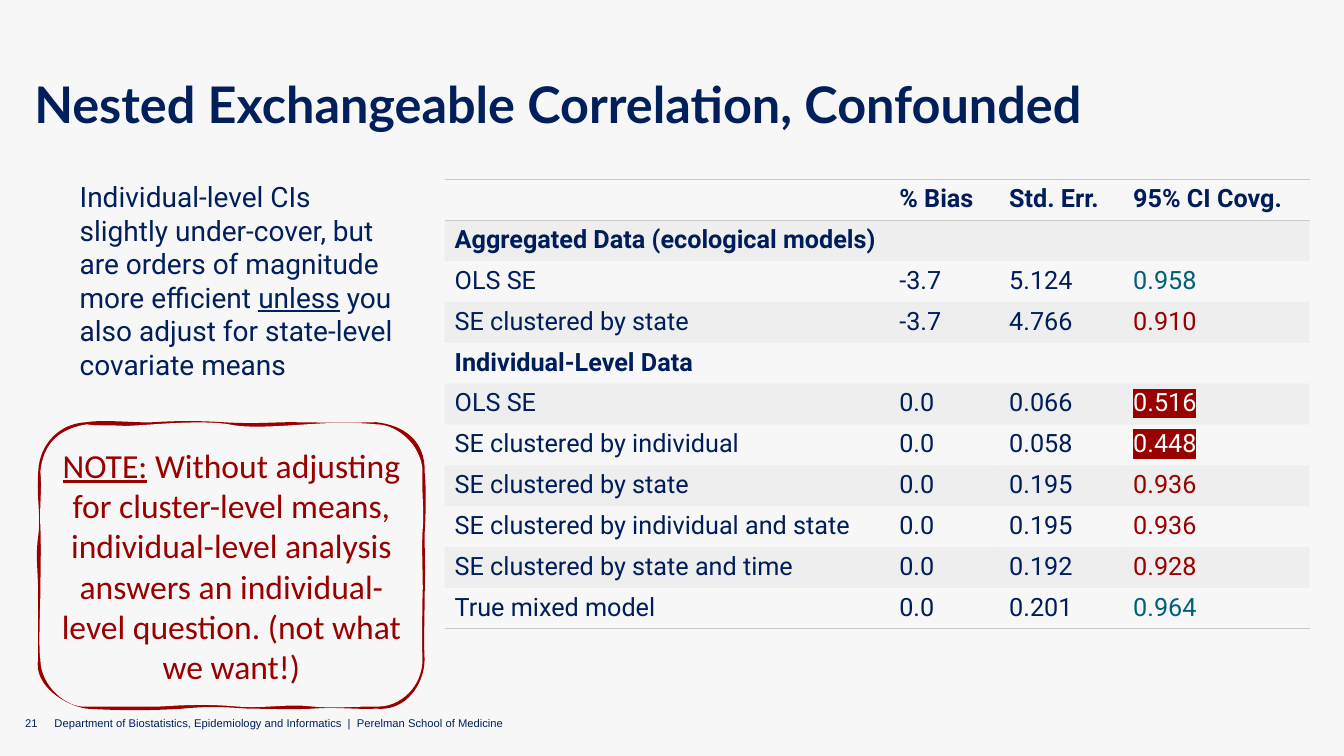
"""Build the slide on nested exchangeable correlation with confounding."""
from lxml import etree
from pptx import Presentation, util as u
from pptx.dml.color import RGBColor
from pptx.enum import text
from pptx.oxml.ns import qn

NAVY, INK, RED, TEAL = "011F5B", "001D5B", "990000", "006076"
PAPER, GREY, WHITE = "F7F7F7", "C8CAC9", "FFFFFF"
NO_STYLE = "{2D5ABB26-0587-4C30-8999-92F81FD0307C}"
WIDTH, HEIGHT = 13.33, 7.5
BODY_TOP = 1.78
FOOT_TOP, FOOT_HEIGHT = 7.04, 0.2

TITLE = "Nested Exchangeable Correlation, Confounded"
FOOTER = "Department of Biostatistics, Epidemiology and Informatics  |  Perelman School of Medicine"
PAGE = "21"
FINDING = [
    ("Individual-level CIs slightly under-cover, but are orders of magnitude more efficient ", False),
    ("unless", True),
    (" you also adjust for state-level covariate means", False),
]
NOTE = [
    ("NOTE:", True),
    (" Without adjusting for cluster-level means, individual-level analysis answers an "
     "individual-level question. (not what we want!)", False),
]

TABLE_LEFT, TABLE_HEIGHT = 4.41, 4.46
COLUMNS = [4.41, 1.09, 1.23, 1.85]
RESULTS = [
    ("", "% Bias", "Std. Err.", "95% CI Covg."),
    ("Aggregated Data (ecological models)",),
    ("OLS SE", "-3.7", "5.124", "0.958"),
    ("SE clustered by state", "-3.7", "4.766", "0.910"),
    ("Individual-Level Data",),
    ("OLS SE", "0.0", "0.066", "0.516"),
    ("SE clustered by individual", "0.0", "0.058", "0.448"),
    ("SE clustered by state", "0.0", "0.195", "0.936"),
    ("SE clustered by individual and state", "0.0", "0.195", "0.936"),
    ("SE clustered by state and time", "0.0", "0.192", "0.928"),
    ("True mixed model", "0.0", "0.201", "0.964"),
]
NOMINAL, POOR = 0.95, 0.9

NOTE_START = (0.4, 4.68)
NOTE_EDGE = [
    (0.41, 4.42, 0.6, 4.22, 0.86, 4.21), (1.03, 4.18, 1.37, 4.22, 1.52, 4.21),
    (1.68, 4.2, 1.9, 4.19, 2.21, 4.21), (2.52, 4.23, 2.7, 4.21, 2.87, 4.21),
    (3.04, 4.21, 3.36, 4.22, 3.73, 4.21), (3.99, 4.24, 4.2, 4.38, 4.19, 4.68),
    (4.21, 4.86, 4.2, 5.15, 4.19, 5.3), (4.19, 5.45, 4.2, 5.64, 4.19, 5.92),
    (4.19, 6.2, 4.18, 6.33, 4.19, 6.54), (4.19, 6.77, 4.02, 7.04, 3.73, 7.01),
    (3.52, 7.02, 3.33, 6.99, 3.1, 7.01), (2.87, 7.02, 2.65, 7.01, 2.47, 7.01),
    (2.29, 7, 2.1, 6.98, 1.81, 7.01), (1.52, 7.03, 1.17, 7.03, 0.86, 7.01),
    (0.66, 6.98, 0.35, 6.79, 0.4, 6.54), (0.4, 6.29, 0.4, 6.23, 0.4, 5.94),
    (0.4, 5.64, 0.37, 5.54, 0.4, 5.32), (0.43, 5.1, 0.38, 4.96, 0.4, 4.68),
]
NOTE_INSIDE = [
    (0.43, 4.41, 0.57, 4.26, 0.86, 4.21), (1.05, 4.24, 1.24, 4.23, 1.52, 4.21),
    (1.8, 4.19, 2.09, 4.18, 2.27, 4.21), (2.44, 4.25, 2.75, 4.23, 3.04, 4.21),
    (3.33, 4.19, 3.53, 4.19, 3.73, 4.21), (3.96, 4.21, 4.19, 4.45, 4.19, 4.68),
    (4.18, 4.88, 4.21, 5.06, 4.19, 5.28), (4.18, 5.5, 4.2, 5.78, 4.19, 5.94),
    (4.19, 6.1, 4.18, 6.3, 4.19, 6.54), (4.19, 6.81, 3.97, 7.02, 3.73, 7.01),
    (3.44, 7.01, 3.35, 7.03, 3.1, 7.01), (2.85, 6.98, 2.66, 7.03, 2.35, 7.01),
    (2.04, 6.98, 1.75, 7, 1.58, 7.01), (1.41, 7.01, 1.01, 7.01, 0.86, 7.01),
    (0.66, 7.03, 0.4, 6.8, 0.4, 6.54), (0.38, 6.41, 0.4, 6.02, 0.4, 5.88),
    (0.4, 5.74, 0.41, 5.44, 0.4, 5.22), (0.39, 5, 0.42, 4.84, 0.4, 4.68),
]


def rgb(code):
    return RGBColor.from_string(code)


def write(frame, runs, size, face, color, bold=False, insets=(0, 0)):
    frame.word_wrap = True
    frame.margin_left = frame.margin_right = u.Inches(insets[0])
    frame.margin_top = frame.margin_bottom = u.Inches(insets[1])
    line = frame.paragraphs[0]
    line.font.size, line.font.name, line.font.bold = u.Pt(size), face, bold
    line.font.color.rgb = rgb(color)
    for words, underlined in runs:
        run = line.add_run()
        run.text = words
        if underlined:
            run.font.underline = True
    return line


def add_text(slide, place, runs, size, face, bold=False, anchor=text.MSO_ANCHOR.TOP):
    frame = slide.shapes.add_textbox(*map(u.Inches, place)).text_frame
    frame.vertical_anchor = anchor
    return write(frame, runs, size, face, NAVY, bold)


def add_solid(parent, tag, color, alpha=100):
    holder = etree.SubElement(parent, qn(tag))
    tint = etree.SubElement(holder, qn("a:srgbClr"), val=color)
    if alpha < 100:
        etree.SubElement(tint, qn("a:alpha"), val=str(alpha * 1000))


def style_cell(cell, edges, shaded):
    props = cell._tc.get_or_add_tcPr()
    for edge in edges:
        border = etree.SubElement(props, qn(edge), w=str(u.Pt(1)))
        add_solid(border, "a:solidFill", GREY)
    if shaded:
        add_solid(props, "a:solidFill", GREY, 20)
    else:
        cell.fill.background()


def coverage_color(value):
    if value < POOR:
        return WHITE
    return RED if value < NOMINAL else TEAL


def add_results(slide):
    last = len(RESULTS) - 1
    place = (TABLE_LEFT, BODY_TOP, sum(COLUMNS), TABLE_HEIGHT)
    table = slide.shapes.add_table(len(RESULTS), len(COLUMNS), *map(u.Inches, place)).table
    table.first_row = table.horz_banding = False
    table._tbl.tblPr.find(qn("a:tableStyleId")).text = NO_STYLE
    for column, width in zip(table.columns, COLUMNS):
        column.width = u.Inches(width)
    for r, values in enumerate(RESULTS):
        table.rows[r].height = u.Inches(TABLE_HEIGHT / len(RESULTS))
        edges = {0: ("a:lnT", "a:lnB"), last: ("a:lnB",)}.get(r, ())
        heading = r == 0 or len(values) == 1
        if len(values) == 1:
            table.cell(r, 0).merge(table.cell(r, len(COLUMNS) - 1))
        for c in range(len(COLUMNS)):
            style_cell(table.cell(r, c), edges, r % 2 == 1)
        for c, value in enumerate(values):
            line = table.cell(r, c).text_frame.paragraphs[0]
            line.font.size, line.font.name = u.Pt(18), "Roboto"
            if not value:
                continue
            run = line.add_run()
            run.text = value
            run.font.bold = heading
            coverage = c == len(COLUMNS) - 1 and not heading
            color = coverage_color(float(value)) if coverage else INK
            run.font.color.rgb = rgb(color)
            if color == WHITE:
                add_solid(run.font._element, "a:highlight", RED)


def add_curves(paths, note, curves, **paint):
    route = etree.SubElement(paths, qn("a:path"), w=str(note.width), h=str(note.height), **paint)
    steps = [("a:moveTo", NOTE_START)] + [("a:cubicBezTo", curve) for curve in curves]
    for tag, numbers in steps:
        step = etree.SubElement(route, qn(tag))
        for x, y in zip(numbers[::2], numbers[1::2]):
            etree.SubElement(step, qn("a:pt"), x=str(u.Inches(x) - note.left),
                             y=str(u.Inches(y) - note.top))
    etree.SubElement(route, qn("a:close"))


def add_note(slide):
    builder = slide.shapes.build_freeform(*map(u.Inches, NOTE_START))
    builder.add_line_segments([tuple(map(u.Inches, curve[4:])) for curve in NOTE_EDGE])
    note = builder.convert_to_shape()
    paths = note._element.spPr.find(qn("a:custGeom")).find(qn("a:pathLst"))
    paths.remove(paths[0])
    add_curves(paths, note, NOTE_EDGE, fill="none")
    add_curves(paths, note, NOTE_INSIDE, stroke="0")
    note.shadow.inherit = False
    note.fill.solid()
    note.fill.fore_color.rgb = rgb(PAPER)
    note.line.color.rgb, note.line.width = rgb(RED), u.Pt(3)
    note.text_frame.vertical_anchor = text.MSO_ANCHOR.MIDDLE
    line = write(note.text_frame, NOTE, 24, "Calibri", RED, insets=(0.16, 0.04))
    line.alignment = text.PP_ALIGN.CENTER


def main():
    deck = Presentation()
    deck.slide_width, deck.slide_height = u.Inches(WIDTH), u.Inches(HEIGHT)
    slide = deck.slides.add_slide(deck.slide_layouts[6])
    slide.background.fill.solid()
    slide.background.fill.fore_color.rgb = rgb(PAPER)
    for left, width, words in ((0.54, 8.13, FOOTER), (0.25, 0.29, PAGE)):
        add_text(slide, (left, FOOT_TOP, width, FOOT_HEIGHT), [(words, False)], 8, "Arial",
                 anchor=text.MSO_ANCHOR.BOTTOM)
    title = add_text(slide, (0.34, 0.79, 12.64, 0.99), [(TITLE, False)], 36, "Lato", bold=True)
    title.line_spacing = 0.9
    finding = add_text(slide, (0.79, BODY_TOP, 3.18, 4.25), FINDING, 20, "Roboto")
    finding.space_before, finding.space_after = u.Pt(2.5), u.Pt(6)
    add_results(slide)
    add_note(slide)
    deck.save("out.pptx")


if __name__ == "__main__":
    main()
